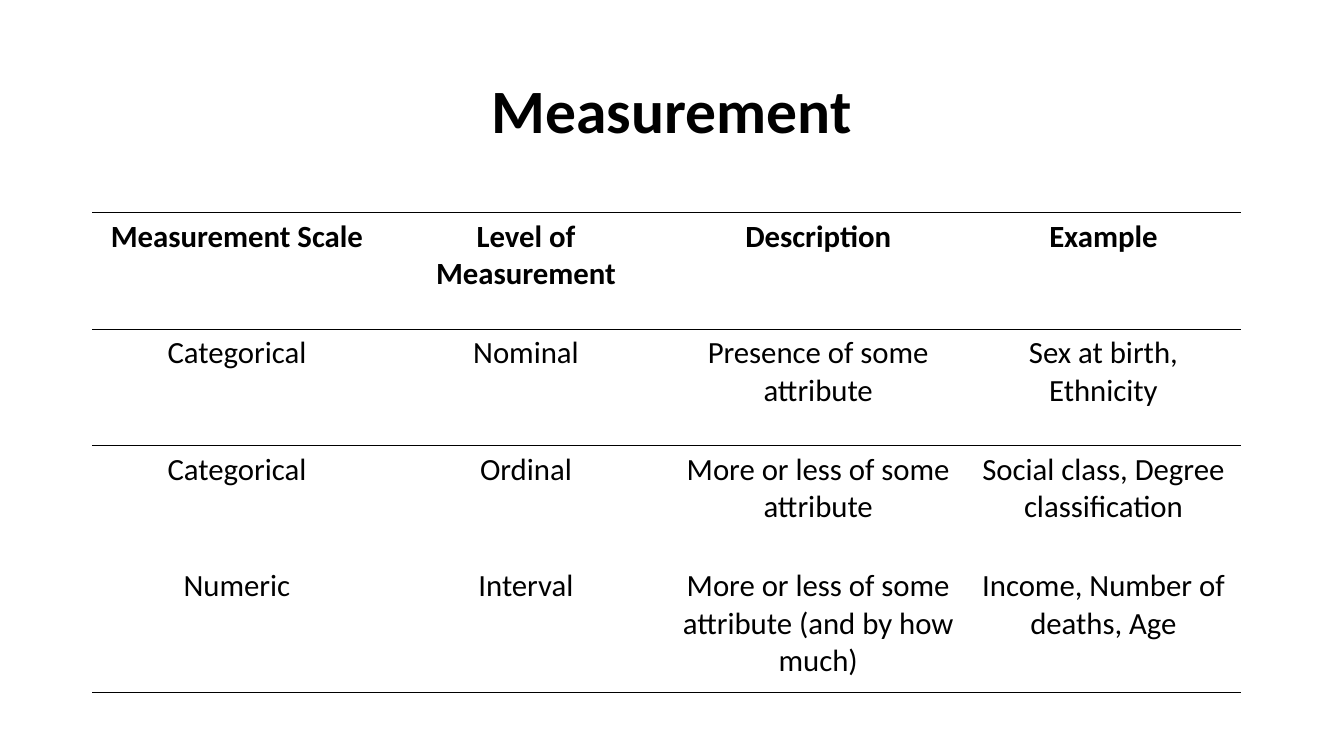
from dataclasses import dataclass

from lxml.etree import SubElement
from pptx import Presentation
from pptx.dml.color import RGBColor as RGB
from pptx.enum.text import MSO_ANCHOR as Anchor, PP_ALIGN as Align
from pptx.oxml.ns import qn
from pptx.slide import Slide
from pptx.table import _Cell as Cell
from pptx.text.text import _Paragraph as Paragraph
from pptx.util import Pt

COLORS = {"ink": "000000", "paper": "FFFFFF"}
FONT = "Calibri"
RULE_WIDTH = Pt(1)
COLUMN_WIDTHS = (206.5, 206.5, 211, 196.5)
LEFT, TABLE_TOP = 66, 152


@dataclass(frozen=True)
class Row:
    texts: tuple[str, str, str, str]
    height: float = 83.25
    bold: bool = False
    rule_above: bool = True
    rule_below: bool = True


ROWS = (
    Row(("Measurement Scale", "Level of Measurement", "Description", "Example"), bold=True),
    Row(("Categorical", "Nominal", "Presence of some attribute", "Sex at birth, Ethnicity")),
    Row(("Categorical", "Ordinal", "More or less of some attribute",
         "Social class, Degree classification"), rule_below=False),
    Row(("Numeric", "Interval", "More or less of some attribute (and by how much)",
         "Income, Number of deaths, Age"), height=93, rule_above=False),
)


def write(p: Paragraph, text: str, size: float, bold: bool) -> None:
    p.alignment = Align.CENTER
    r = p.add_run()
    r.text = text
    r.font.name = FONT
    r.font.size = Pt(size)
    r.font.bold = bold
    r.font.color.rgb = RGB.from_string(COLORS["ink"])


def set_borders(cell: Cell, above: bool, below: bool) -> None:
    """Rule the cell above and below as asked, and clear its other sides."""
    props = cell._tc.get_or_add_tcPr()
    sides = {"a:lnL": False, "a:lnR": False, "a:lnT": above, "a:lnB": below}
    for side, ruled in sides.items():
        line = SubElement(props, qn(side), w=str(RULE_WIDTH if ruled else 0))
        if ruled:
            fill = SubElement(line, qn("a:solidFill"))
            SubElement(fill, qn("a:srgbClr"), val=COLORS["ink"])
        else:
            SubElement(line, qn("a:noFill"))


def add_title(s: Slide, text: str) -> None:
    tf = s.shapes.add_textbox(Pt(LEFT), Pt(28.75), Pt(828), Pt(104.4)).text_frame
    tf.word_wrap = True
    tf.vertical_anchor = Anchor.MIDDLE
    p = tf.paragraphs[0]
    p.line_spacing = 0.9
    write(p, text, 44, True)


def add_measurement_table(s: Slide) -> None:
    width, height = sum(COLUMN_WIDTHS), sum(row.height for row in ROWS)
    table = s.shapes.add_table(len(ROWS), len(COLUMN_WIDTHS), Pt(LEFT), Pt(TABLE_TOP),
                               Pt(width), Pt(height)).table
    table.first_row = table.horz_banding = False
    for column, column_width in zip(table.columns, COLUMN_WIDTHS):
        column.width = Pt(column_width)
    for i, row in enumerate(ROWS):
        table.rows[i].height = Pt(row.height)
        for j, text in enumerate(row.texts):
            cell = table.cell(i, j)
            set_borders(cell, row.rule_above, row.rule_below)
            cell.fill.background()
            write(cell.text_frame.paragraphs[0], text, 22, row.bold)


def main() -> None:
    prs = Presentation()
    prs.slide_width, prs.slide_height = Pt(960), Pt(540)
    s = prs.slides.add_slide(prs.slide_layouts[6])
    s.background.fill.solid()
    s.background.fill.fore_color.rgb = RGB.from_string(COLORS["paper"])
    add_title(s, "Measurement")
    add_measurement_table(s)
    prs.save("out.pptx")


if __name__ == "__main__":
    main()
